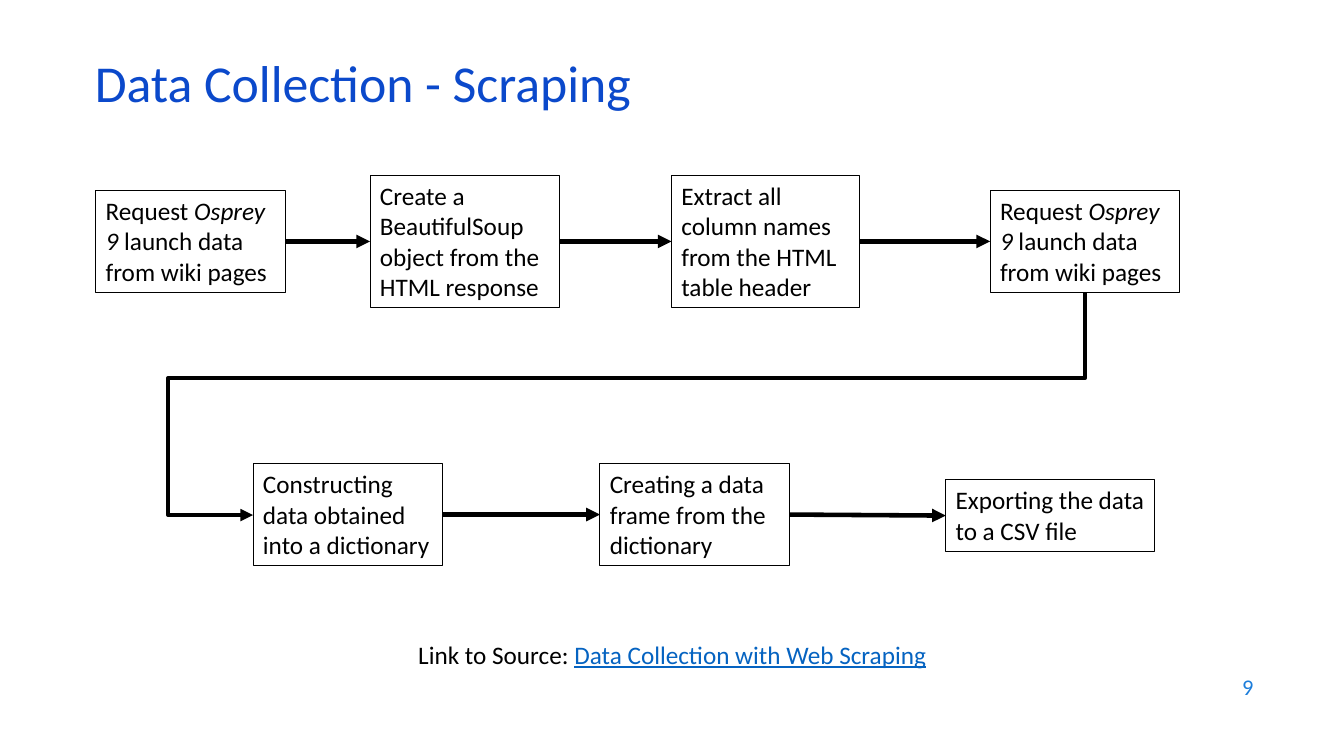
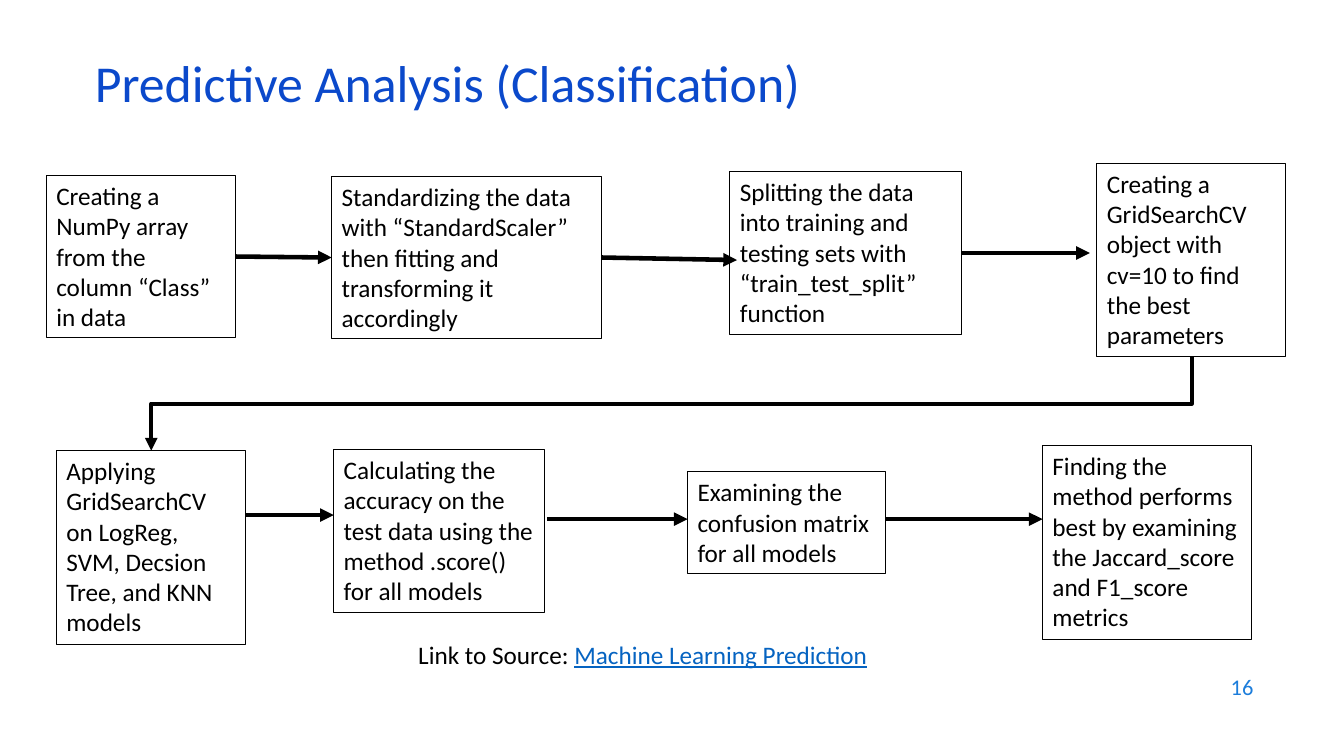
from lxml import etree
from pptx import Presentation
from pptx.dml.color import RGBColor
from pptx.enum.shapes import MSO_CONNECTOR, MSO_SHAPE
from pptx.enum.text import MSO_ANCHOR, MSO_AUTO_SIZE, PP_ALIGN
from pptx.oxml.ns import qn
from pptx.util import Inches, Pt

STRAIGHT, ELBOW = MSO_CONNECTOR.STRAIGHT, MSO_CONNECTOR.ELBOW
RECTANGLE = MSO_SHAPE.RECTANGLE
TOP, MIDDLE = MSO_ANCHOR.TOP, MSO_ANCHOR.MIDDLE
FIT_SHAPE, NO_FIT = MSO_AUTO_SIZE.SHAPE_TO_FIT_TEXT, MSO_AUTO_SIZE.NONE
LEFT, RIGHT = PP_ALIGN.LEFT, PP_ALIGN.RIGHT
LEFT_SIDE, RIGHT_SIDE = 1, 3

FONT = "Calibri"
COLORS = {name: RGBColor.from_string(value) for name, value in {
    "title": "0B49CB",
    "number": "1C7DDB",
    "link": "0563C1",
    "ink": "000000",
}.items()}

# Boxes: left, top, width, height, text; *stars* mark italics.
# Arrows: each end is a box index (middle of its side) or a point.
REQUEST = "Request *Osprey 9* launch data from wiki pages"
SLIDES = [
    {
        "title": "Data Collection - Scraping",
        "number": "9",
        "link": "Data Collection with Web Scraping",
        "boxes": [
            (0.95, 1.89, 1.88, 1.01, REQUEST),
            (3.67, 1.74, 1.88, 1.31, "Create a BeautifulSoup object from the HTML response"),
            (6.66, 1.74, 1.87, 1.31, "Extract all column names from the HTML table header"),
            (9.82, 1.89, 1.88, 1.01, REQUEST),
            (2.51, 4.6, 1.88, 1.01, "Constructing data obtained into a dictionary"),
            (5.95, 4.6, 1.88, 1.01, "Creating a data frame from the dictionary"),
            (9.38, 4.76, 2.07, 0.71, "Exporting the data to a CSV file"),
        ],
        "arrows": [(0, 1), (1, 2), (2, 3), (4, 5), (5, 6)],
        "return": ((10.76, 2.9), (2.51, 5.11)),
        "bends": ("bentConnector4", [38600, 110200]),
    },
    {
        "title": "Predictive Analysis (Classification)",
        "number": "16",
        "link": "Machine Learning Prediction",
        "boxes": [
            (0.46, 1.74, 1.88, 1.61, "Creating a NumPy array from the column “Class” in data"),
            (3.29, 1.75, 2.68, 1.61, "Standardizing the data with “StandardScaler” then "
                                     "fitting and transforming it accordingly"),
            (7.24, 1.7, 2.3, 1.62, "Splitting the data into training and testing sets with "
                                   "“train_test_split” function"),
            (10.88, 1.62, 1.87, 1.92, "Creating a GridSearchCV object with cv=10 to find "
                                      "the best parameters"),
            (0.56, 4.47, 1.88, 1.92, "Applying GridSearchCV on LogReg, SVM, Decsion Tree, "
                                     "and KNN models"),
            (3.31, 4.46, 2.09, 1.62, "Calculating the accuracy on the test data using the "
                                     "method .score() for all models"),
            (6.82, 4.68, 1.96, 1.01, "Examining the confusion matrix for all models"),
            (10.34, 4.42, 2.07, 1.92, "Finding the method performs best by examining the "
                                      "Jaccard_score and F1_score metrics"),
        ],
        "arrows": [
            (0, 1),
            (1, (7.31, 2.58)),
            (2, (10.81, 2.51)),
            ((2.44, 5.11), (3.31, 5.11)),
            ((5.43, 5.15), (6.82, 5.15)),
            ((8.79, 5.15), (10.34, 5.15)),
        ],
        "return": ((11.82, 3.54), (1.5, 4.47)),
        "bends": ("bentConnector3", [50000]),
    },
]


def style(p, size, color, align=LEFT):
    p.alignment = align
    p.font.name = FONT
    p.font.size = Pt(size)
    p.font.color.rgb = COLORS[color]


def add_arrow(slide, kind, start, end, width):
    points = [Inches(v) for v in (*start, *end)]
    cxn = slide.shapes.add_connector(kind, *points)
    cxn.line.color.rgb = COLORS["ink"]
    cxn.line.width = Pt(width)
    line = cxn._element.spPr.find(qn("a:ln"))
    etree.SubElement(line, qn("a:tailEnd"), type="triangle")
    etree.SubElement(cxn._element.spPr, qn("a:effectLst"))
    return cxn


prs = Presentation()
prs.slide_width, prs.slide_height = Inches(13.33), Inches(7.5)
title_only = prs.slide_layouts[5]

for content in SLIDES:
    slide = prs.slides.add_slide(title_only)

    title = slide.shapes.title
    title.left, title.top = Inches(0.84), Inches(0.59)
    title.width, title.height = Inches(11.5), Inches(0.6)
    tf = title.text_frame
    tf.text = content["title"]
    tf.auto_size, tf.vertical_anchor = NO_FIT, MIDDLE
    style(tf.paragraphs[0], 37, "title")
    tf.paragraphs[0].line_spacing = 0.7

    number = slide.shapes.add_textbox(Inches(9.53), Inches(6.59), Inches(3), Inches(0.44))
    tf = number.text_frame
    tf.text = content["number"]
    tf.word_wrap, tf.vertical_anchor = True, MIDDLE
    style(tf.paragraphs[0], 16, "number", RIGHT)

    boxes = []
    for *place, text in content["boxes"]:
        sp = slide.shapes.add_shape(RECTANGLE, *[Inches(v) for v in place])
        sp.shadow.inherit = False
        sp.fill.background()
        sp.line.color.rgb = COLORS["ink"]
        sp.line.width = Pt(0.75)
        tf = sp.text_frame
        tf.word_wrap, tf.auto_size, tf.vertical_anchor = True, FIT_SHAPE, TOP
        p = tf.paragraphs[0]
        style(p, 18, "ink")
        for i, piece in enumerate(text.split("*")):
            r = p.add_run()
            r.text = piece
            if i % 2:
                r.font.italic = True
        boxes.append(sp)

    for start, end in content["arrows"]:
        ends = [(0, 0) if isinstance(e, int) else e for e in (start, end)]
        cxn = add_arrow(slide, STRAIGHT, *ends, 3.25)
        if isinstance(start, int):
            cxn.begin_connect(boxes[start], RIGHT_SIDE)
        if isinstance(end, int):
            cxn.end_connect(boxes[end], LEFT_SIDE)

    # The elbow leaves downwards, so it is laid out sideways and turned by 90 degrees.
    (x1, y1), (x2, y2) = content["return"]
    mid_x, mid_y = (x1 + x2) / 2, (y1 + y2) / 2
    half_w, half_h = (y2 - y1) / 2, (x1 - x2) / 2
    elbow = add_arrow(slide, ELBOW, (mid_x - half_w, mid_y - half_h),
                      (mid_x + half_w, mid_y + half_h), 3)
    elbow.rotation = 90
    preset, bends = content["bends"]
    geometry = elbow._element.spPr.find(qn("a:prstGeom"))
    geometry.set("prst", preset)
    guides = geometry.find(qn("a:avLst"))
    for i, bend in enumerate(bends, 1):
        etree.SubElement(guides, qn("a:gd"), name=f"adj{i}", fmla=f"val {bend}")

    link = slide.shapes.add_textbox(Inches(4.05), Inches(6.29), Inches(5.66), Inches(0.4))
    tf = link.text_frame
    tf.word_wrap, tf.auto_size = True, FIT_SHAPE
    p = tf.paragraphs[0]
    style(p, 18, "ink")
    p.add_run().text = "Link to Source: "
    r = p.add_run()
    r.text = content["link"]
    r.font.underline = True
    r.font.color.rgb = COLORS["link"]

prs.save("out.pptx")
